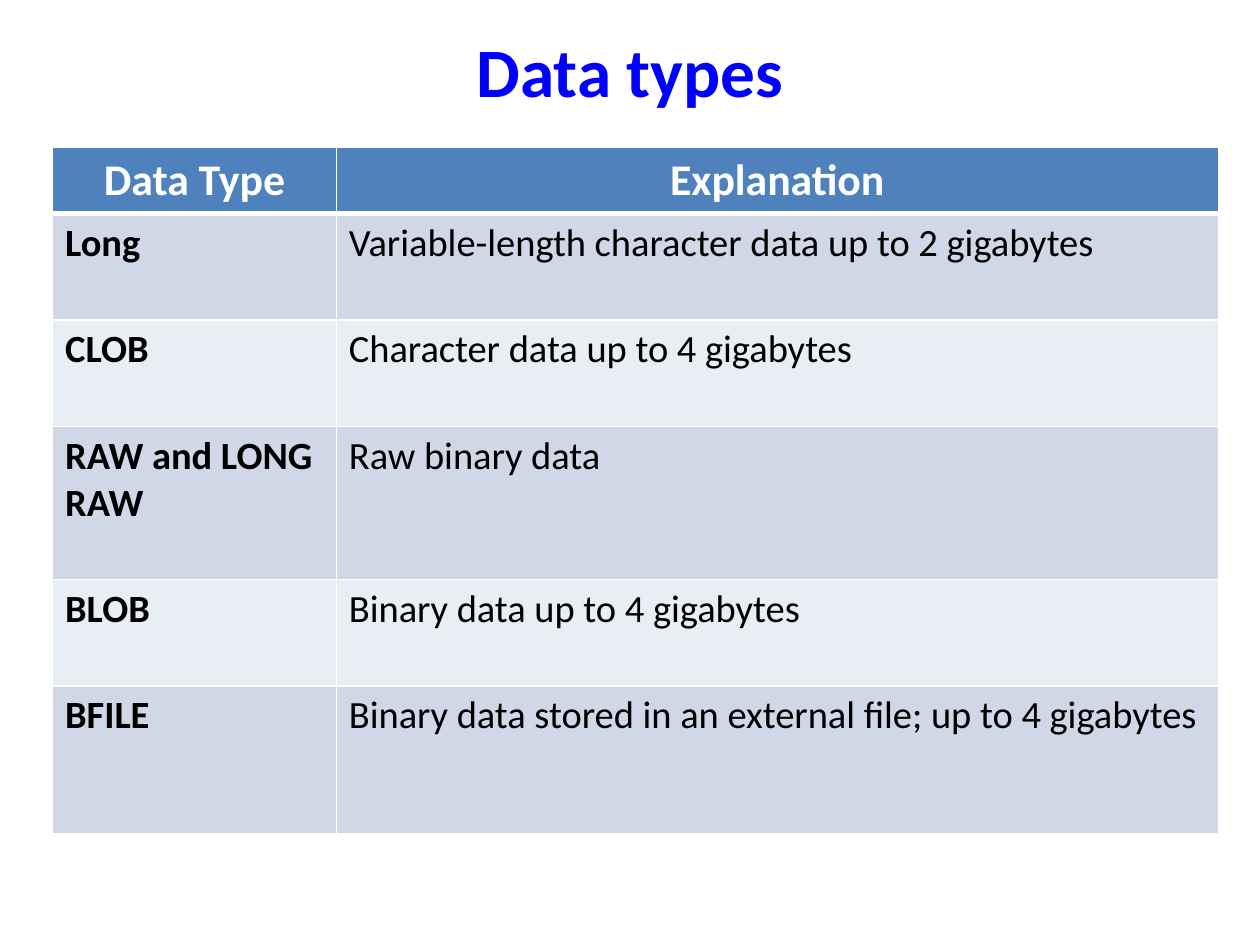
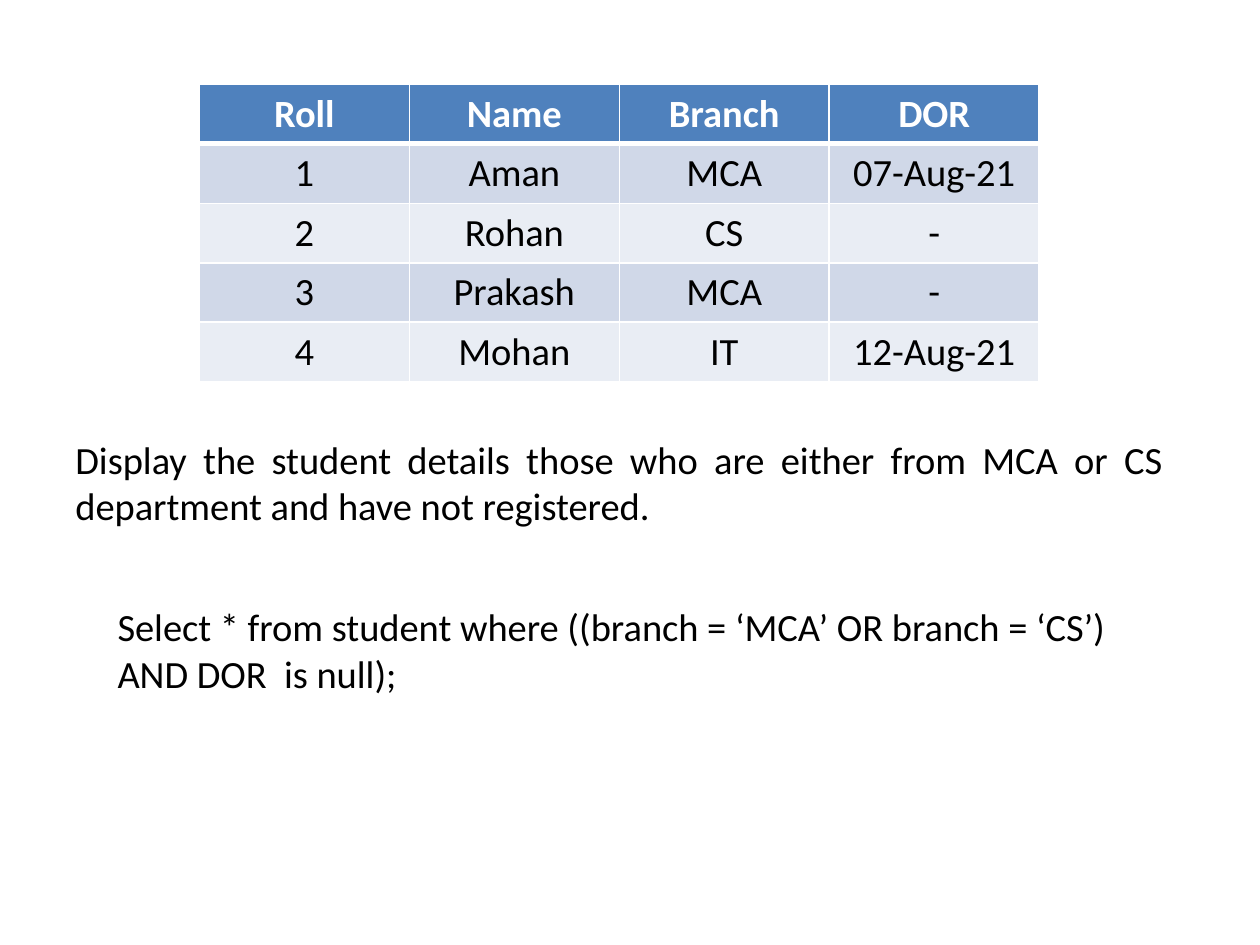
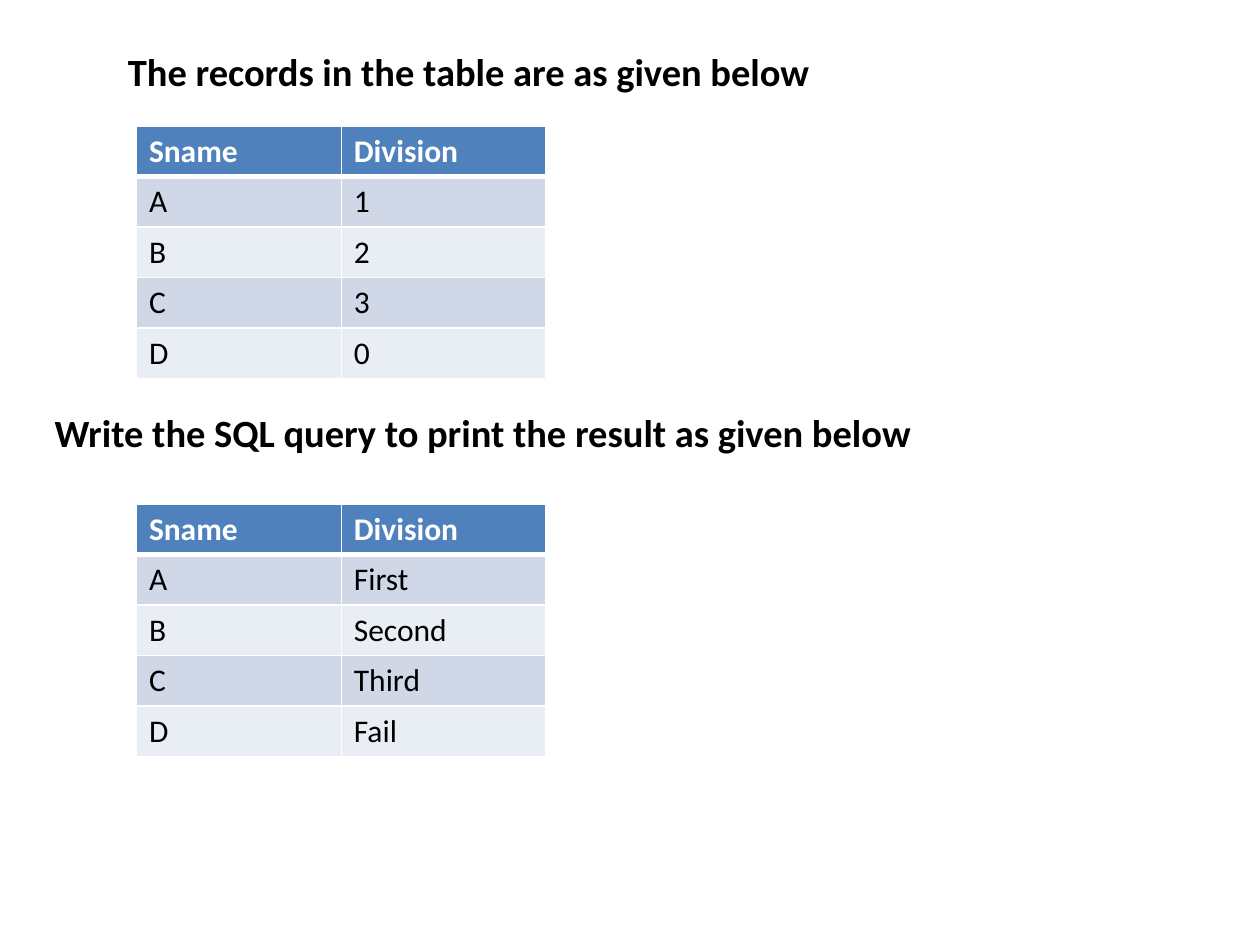
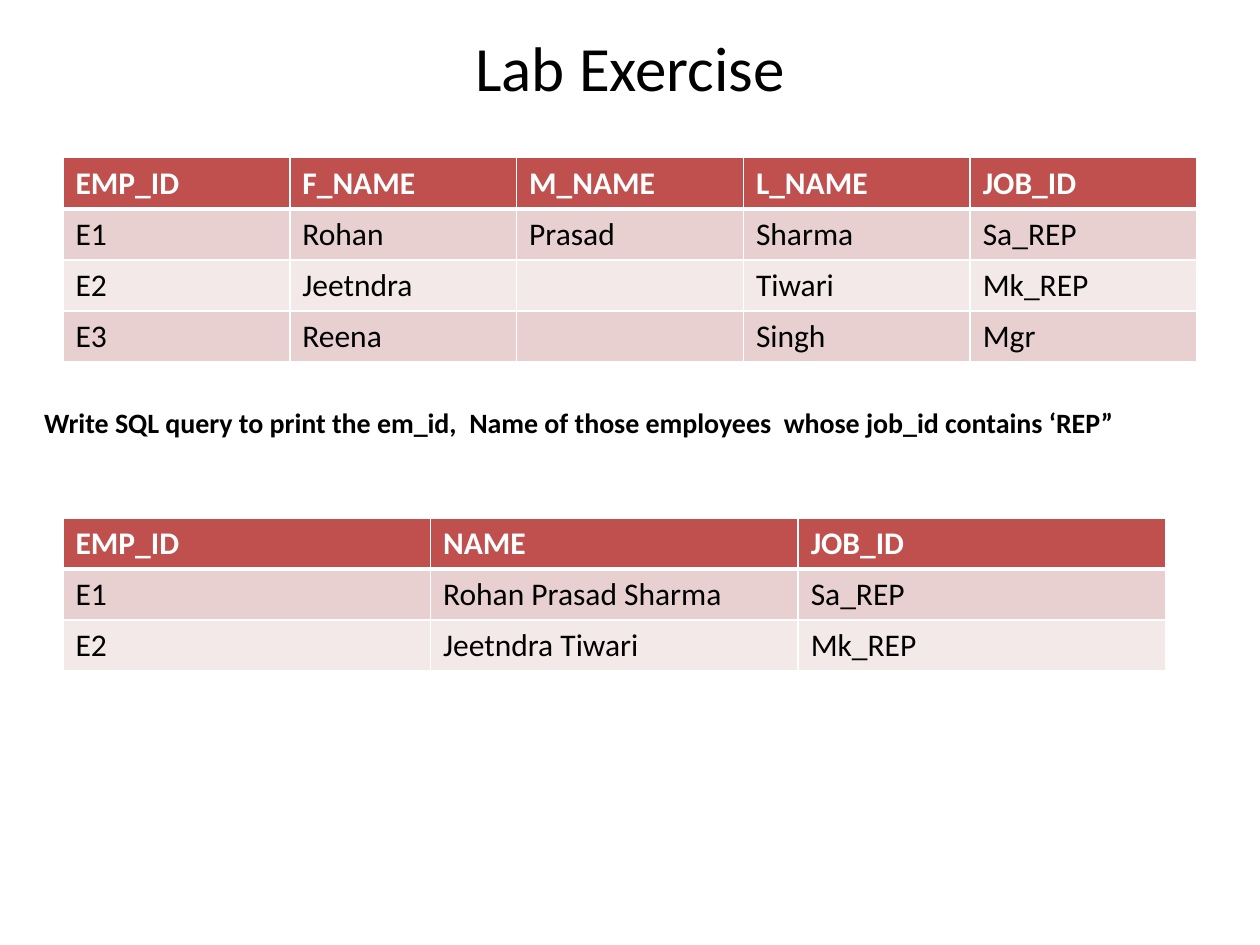
from dataclasses import dataclass

from lxml import etree
from pptx import Presentation
from pptx.dml.color import RGBColor
from pptx.enum.text import MSO_ANCHOR, MSO_AUTO_SIZE, PP_ALIGN
from pptx.oxml.ns import qn
from pptx.util import Cm, Pt

LEFT, CENTER, JUSTIFY = PP_ALIGN.LEFT, PP_ALIGN.CENTER, PP_ALIGN.JUSTIFY
MIDDLE = MSO_ANCHOR.MIDDLE
NO_FIT, GROW = MSO_AUTO_SIZE.NONE, MSO_AUTO_SIZE.SHAPE_TO_FIT_TEXT
TITLE_ONLY, BLANK = 5, 6


# Shared look
@dataclass(frozen=True)
class Palette:
    header: str
    odd: str
    even: str


@dataclass(frozen=True)
class Theme:
    font: str = "Calibri"
    ink: str = "000000"
    paper: str = "FFFFFF"
    accent: str = "0000FF"
    blue: Palette = Palette("4F81BD", "D0D8E8", "E9EDF4")
    red: Palette = Palette("C0504D", "E8D0D0", "F4E9E9")
    accent_title: float = 39.6
    title: float = 36
    wide_header: float = 25
    body: float = 22
    small: float = 18
    note: float = 16
    thin: float = 1
    thick: float = 3


THEME = Theme()


# Repeated elements; all lengths are in centimetres
@dataclass(frozen=True)
class Area:
    left: float
    top: float
    width: float
    height: float

    def lengths(self) -> tuple:
        return Cm(self.left), Cm(self.top), Cm(self.width), Cm(self.height)


@dataclass(frozen=True)
class Title:
    text: str
    area: Area
    size: float = THEME.title
    color: str = THEME.ink
    bold: bool = False


@dataclass(frozen=True)
class Note:
    text: str
    area: Area
    size: float = THEME.body
    bold: bool = False
    align: PP_ALIGN = LEFT


@dataclass(frozen=True)
class Grid:
    area: Area
    rows: tuple
    palette: Palette = THEME.blue
    size: float = THEME.small
    header_size: float = THEME.small
    header_align: PP_ALIGN = LEFT
    align: PP_ALIGN = LEFT
    bold_first: bool = False
    widths: tuple = ()
    heights: tuple = ()


# Drawing
def write(frame, text: str, size: float, color: str, bold: bool, align: PP_ALIGN) -> None:
    para = frame.paragraphs[0]
    para.alignment = align
    if not text:
        return
    span = para.add_run()
    span.text = text
    formats = {"name": THEME.font, "size": Pt(size), "bold": bold}
    for name, value in formats.items():
        setattr(span.font, name, value)
    span.font.color.rgb = RGBColor.from_string(color)


def draw_title(page, title: Title) -> None:
    box = page.shapes.title
    box.left, box.top, box.width, box.height = title.area.lengths()
    frame = box.text_frame
    formats = {"auto_size": NO_FIT, "vertical_anchor": MIDDLE, "word_wrap": True}
    for name, value in formats.items():
        setattr(frame, name, value)
    write(frame, title.text, title.size, title.color, title.bold, CENTER)


def draw_note(page, note: Note) -> None:
    frame = page.shapes.add_textbox(*note.area.lengths()).text_frame
    frame.word_wrap = True
    frame.auto_size = GROW
    write(frame, note.text, note.size, THEME.ink, note.bold, note.align)


def set_borders(cell, row: int) -> None:
    """White lines, with a heavier one between the header and the body."""
    widths = {
        "a:lnL": THEME.thin,
        "a:lnR": THEME.thin,
        "a:lnT": THEME.thick if row == 1 else THEME.thin,
        "a:lnB": THEME.thick if row == 0 else THEME.thin,
    }
    properties = cell._tc.get_or_add_tcPr()
    for tag, width in widths.items():
        line = etree.SubElement(properties, qn(tag), w=str(Pt(width)))
        fill = etree.SubElement(line, qn("a:solidFill"))
        etree.SubElement(fill, qn("a:srgbClr"), val=THEME.paper)


def draw_grid(page, grid: Grid) -> None:
    row_count, column_count = len(grid.rows), len(grid.rows[0])
    table = page.shapes.add_table(row_count, column_count, *grid.area.lengths()).table
    widths = grid.widths or (grid.area.width / column_count,) * column_count
    heights = grid.heights or (grid.area.height / row_count,) * row_count
    for column, width in zip(table.columns, widths):
        column.width = Cm(width)
    for row, height in zip(table.rows, heights):
        row.height = Cm(height)

    for r, texts in enumerate(grid.rows):
        header = r == 0
        fill = grid.palette.odd if r % 2 else grid.palette.even
        for c, text in enumerate(texts):
            cell = table.cell(r, c)
            set_borders(cell, r)
            cell.fill.solid()
            cell.fill.fore_color.rgb = RGBColor.from_string(
                grid.palette.header if header else fill)
            write(cell.text_frame, text,
                  size=grid.header_size if header else grid.size,
                  color=THEME.paper if header else THEME.ink,
                  bold=header or (grid.bold_first and c == 0),
                  align=grid.header_align if header else grid.align)


DRAWERS = {Title: draw_title, Grid: draw_grid, Note: draw_note}


# Slide contents
DATA_TYPES = (
    Title("Data types", Area(1.27, 0.78, 22.86, 1.27),
          size=THEME.accent_title, color=THEME.accent, bold=True),
    Grid(
        Area(1.06, 2.97, 23.5, 13.8),
        (
            ("Data Type", "Explanation"),
            ("Long", "Variable-length character data up to 2 gigabytes"),
            ("CLOB", "Character data up to 4 gigabytes"),
            ("RAW and LONG RAW", "Raw binary data"),
            ("BLOB", "Binary data up to 4 gigabytes"),
            ("BFILE", "Binary data stored in an external file; up to 4 gigabytes"),
        ),
        size=THEME.body, header_size=THEME.wide_header, header_align=CENTER,
        bold_first=True, widths=(5.72, 17.78),
        heights=(1.3, 2.15, 2.15, 3.08, 2.15, 2.97),
    ),
)

STUDENT_QUERY = (
    Grid(
        Area(4.02, 1.7, 16.93, 5.97),
        (
            ("Roll", "Name", "Branch", "DOR"),
            ("1", "Aman", "MCA", "07-Aug-21"),
            ("2", "Rohan", "CS", "-"),
            ("3", "Prakash", "MCA", "-"),
            ("4", "Mohan", "IT", "12-Aug-21"),
        ),
        size=THEME.body, header_size=THEME.body, header_align=CENTER, align=CENTER,
    ),
    Note("Display the student details those who are either from MCA or CS "
         "department and have not registered.",
         Area(1.27, 8.66, 22.43, 2.13), align=JUSTIFY),
    Note("Select * from student where ((branch = ‘MCA’ OR branch = ‘CS’) "
         "AND DOR  is null);",
         Area(2.12, 12.04, 22.01, 2.13)),
)


def division_grid(top: float, divisions: tuple) -> Grid:
    rows = (("Sname", "Division"), *zip("ABCD", divisions))
    return Grid(Area(2.75, top, 8.26, 5.08), rows)


DIVISION_QUERY = (
    division_grid(2.54, ("1", "2", "3", "0")),
    division_grid(10.16, ("First", "Second", "Third", "Fail")),
    Note("The records in the table are as given below",
         Area(2.33, 0.85, 17.36, 1.2), bold=True),
    Note("Write the SQL query to print the result as given below",
         Area(0.85, 8.13, 19.26, 1.2), bold=True),
)

LAB_EXERCISE = (
    Title("Lab Exercise", Area(1.27, 0.76, 22.86, 1.14)),
    Grid(
        Area(1.27, 3.18, 22.86, 4.12),
        (
            ("EMP_ID", "F_NAME", "M_NAME", "L_NAME", "JOB_ID"),
            ("E1", "Rohan", "Prasad", "Sharma", "Sa_REP"),
            ("E2", "Jeetndra", "", "Tiwari", "Mk_REP"),
            ("E3", "Reena", "", "Singh", "Mgr"),
        ),
        palette=THEME.red,
    ),
    Grid(
        Area(1.27, 10.44, 22.23, 3.09),
        (
            ("EMP_ID", "NAME", "JOB_ID"),
            ("E1", "Rohan Prasad Sharma", "Sa_REP"),
            ("E2", "Jeetndra Tiwari", "Mk_REP"),
        ),
        palette=THEME.red,
    ),
    Note("Write SQL query to print the em_id,  Name of those employees  "
         "whose job_id contains ‘REP”",
         Area(0.64, 8.05, 24.33, 0.94), size=THEME.note, bold=True),
)


def main() -> None:
    deck = Presentation()
    deck.slide_width, deck.slide_height = Cm(25.4), Cm(19.05)
    for elements in (DATA_TYPES, STUDENT_QUERY, DIVISION_QUERY, LAB_EXERCISE):
        titled = any(isinstance(element, Title) for element in elements)
        page = deck.slides.add_slide(deck.slide_layouts[TITLE_ONLY if titled else BLANK])
        for element in elements:
            DRAWERS[type(element)](page, element)
    deck.save("out.pptx")


if __name__ == "__main__":
    main()
